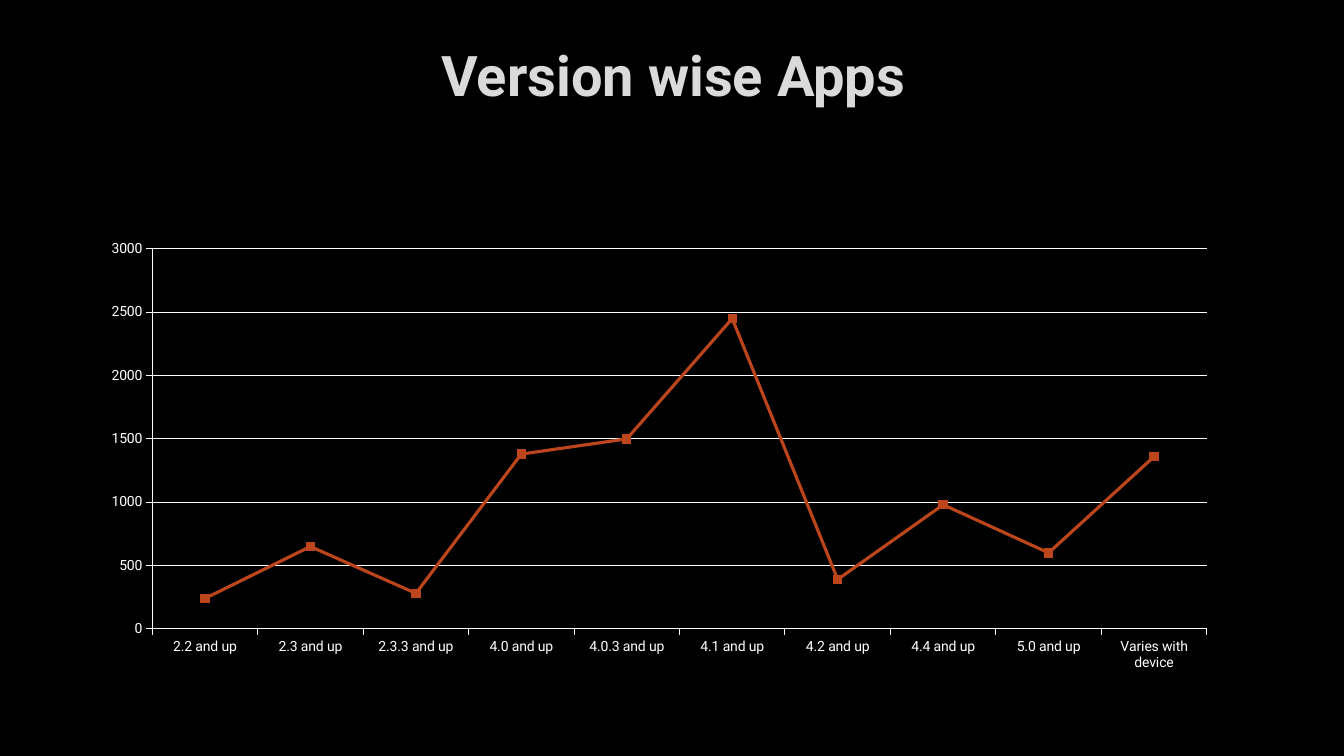
from lxml import etree
from pptx import Presentation
from pptx.chart.data import CategoryChartData
from pptx.dml.color import RGBColor
from pptx.enum.chart import XL_CHART_TYPE, XL_MARKER_STYLE, XL_TICK_MARK
from pptx.enum.text import MSO_ANCHOR, PP_ALIGN
from pptx.oxml import parse_xml
from pptx.oxml.ns import nsdecls, qn
from pptx.util import Inches, Pt

LINE = XL_CHART_TYPE.LINE_MARKERS
SQUARE = XL_MARKER_STYLE.SQUARE
OUT, NONE = XL_TICK_MARK.OUTSIDE, XL_TICK_MARK.NONE
MIDDLE, CENTER = MSO_ANCHOR.MIDDLE, PP_ALIGN.CENTER

# Content
TITLE = "Version wise Apps"
SERIES = "Series 1"
APPS = [
    ("2.2 and up", 240),
    ("2.3 and up", 650),
    ("2.3.3 and up", 280),
    ("4.0 and up", 1380),
    ("4.0.3 and up", 1500),
    ("4.1 and up", 2450),
    ("4.2 and up", 390),
    ("4.4 and up", 980),
    ("5.0 and up", 600),
    ("Varies with device", 1360),
]
FONT = "Roboto"
COLORS = {"back": "000000", "title": "DADADA", "edge": "404040",
          "text": "FFFFFF", "line": "BC451B"}
TITLE_BOX = (1.02, 0.21, 11.32, 1.06)
CHART_BOX = (0.88, 2.31, 11.32, 4.44)
PLOT_BOX = (1.51, 2.47, 10.46, 3.77)


def color(name):
    return RGBColor.from_string(COLORS[name])


def stroke(line, name, width):
    line.color.rgb = color(name)
    line.width = Pt(width)


# Slide
prs = Presentation()
prs.slide_width, prs.slide_height = Inches(13.33), Inches(7.5)
slide = prs.slides.add_slide(prs.slide_layouts[5])
slide.background.fill.solid()
slide.background.fill.fore_color.rgb = color("back")

# Title
title = slide.shapes.title
title.left, title.top, title.width, title.height = map(Inches, TITLE_BOX)
frame = title.text_frame
frame.word_wrap = True
frame.vertical_anchor = MIDDLE
para = frame.paragraphs[0]
para.alignment = CENTER
run = para.add_run()
run.text = TITLE
run.font.name, run.font.size, run.font.bold = FONT, Pt(40), True
run.font.color.rgb = color("title")
run.font._element.insert(0, parse_xml(
    f'<a:ln {nsdecls("a")} w="{Pt(0.75)}"><a:solidFill>'
    f'<a:srgbClr val="{COLORS["edge"]}"><a:alpha val="10000"/></a:srgbClr>'
    '</a:solidFill></a:ln>'))

# Chart
data = CategoryChartData()
data.categories = [name for name, count in APPS]
data.add_series(SERIES, [count for name, count in APPS])
chart = slide.shapes.add_chart(LINE, *map(Inches, CHART_BOX), data).chart
chart.has_legend = chart.has_title = False
chart.font.name, chart.font.size = FONT, Pt(10)
chart.font.color.rgb = color("text")

# Axes
for axis in (chart.category_axis, chart.value_axis):
    axis.major_tick_mark, axis.minor_tick_mark = OUT, NONE
    stroke(axis.format.line, "text", 0.75)
scale = chart.value_axis
scale.minimum_scale, scale.maximum_scale, scale.major_unit = 0, 3000, 500
scale.has_major_gridlines = True
stroke(scale.major_gridlines.format.line, "text", 0.75)

# Series
series = chart.plots[0].series[0]
series.smooth = False
chart.plots[0].vary_by_categories = False
stroke(series.format.line, "line", 2.25)
mark = series.marker
mark.style, mark.size = SQUARE, 6
mark.format.fill.solid()
mark.format.fill.fore_color.rgb = color("line")
stroke(mark.format.line, "line", 0.75)

# Plot area, as shares of the chart box
left, top, wide, high = CHART_BOX
x, y, w, h = PLOT_BOX
parts = [("layoutTarget", "inner"), ("xMode", "edge"), ("yMode", "edge"),
         ("x", (x - left) / wide), ("y", (y - top) / high),
         ("w", w / wide), ("h", h / high)]
area = chart._chartSpace.chart.plotArea
for old in area.findall(qn("c:layout")):
    area.remove(old)
layout = etree.Element(qn("c:layout"))
area.insert(0, layout)
manual = etree.SubElement(layout, qn("c:manualLayout"))
for tag, val in parts:
    etree.SubElement(manual, qn("c:" + tag)).set("val", str(val))

prs.save("out.pptx")
